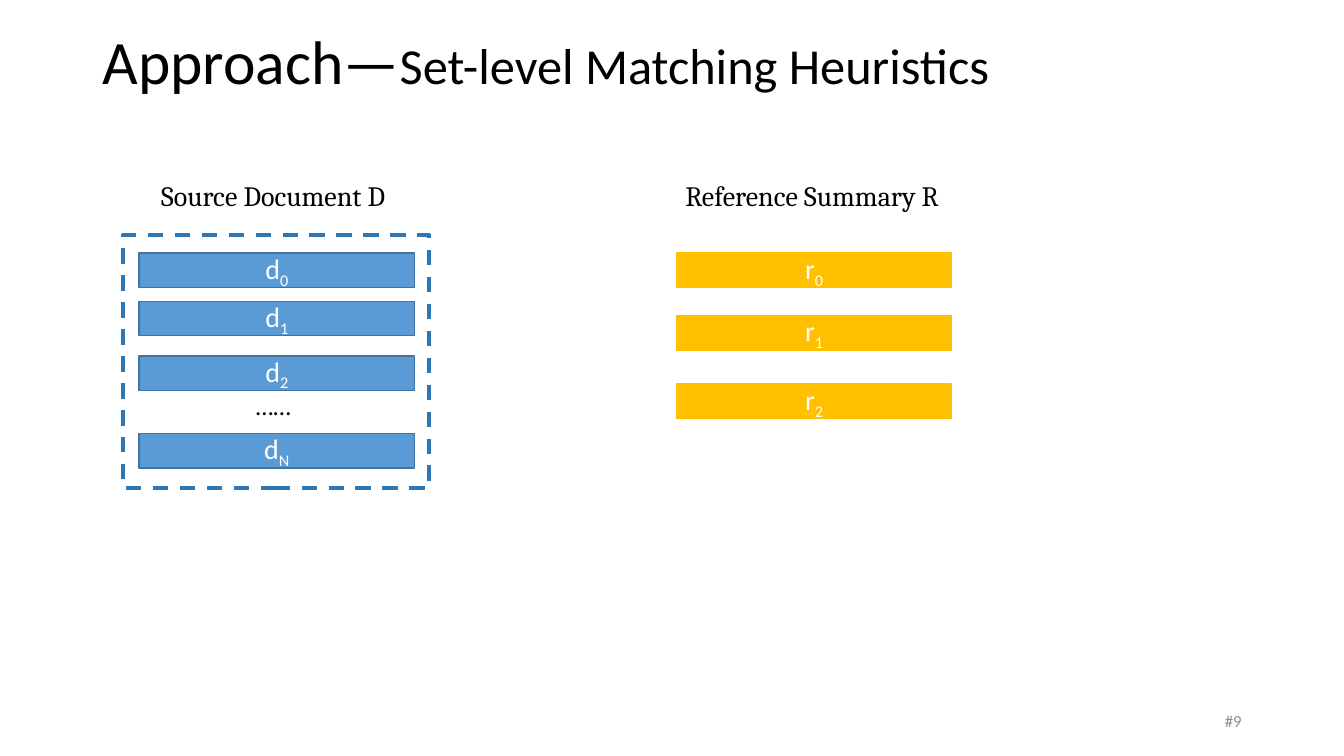
from pptx import Presentation
from pptx.dml.color import RGBColor
from pptx.enum.dml import MSO_LINE_DASH_STYLE as Dash
from pptx.enum.shapes import MSO_SHAPE as Shape
from pptx.enum.text import MSO_ANCHOR as Anchor, PP_ALIGN as Align
from pptx.util import Pt

TITLE = [("Approach—", 44), ("Set-level Matching Heuristics", 36)]
HEADINGS = [
    ("Source Document D", 108, 183.6),
    ("Reference Summary R", 482.4, 198),
]
SENTENCES = [
    {"letter": "r", "left": 483.2, "fill": "FFC000", "line": "FFC000",
     "bars": [("0", 180.7), ("1", 225.4), ("2", 274.4)]},
    {"letter": "d", "left": 99.4, "fill": "5B9BD5", "line": "43739E",
     "bars": [("0", 180.7), ("1", 215.3), ("2", 254.2), ("N", 309.6)]},
]
BAR_WIDTH, BAR_HEIGHT = 196.6, 24.6
BLACK, WHITE, GRAY, FRAME_BLUE = "000000", "FFFFFF", "8C8C8C", "2E75B6"


def color(value):
    return RGBColor.from_string(value)


def add_span(para, text, size, ink, font="Calibri"):
    span = para.add_run()
    span.text = text
    span.font.size = Pt(size)
    span.font.name = font
    span.font.color.rgb = color(ink)
    return span


def add_label(page, text, place, size, ink, font="Calibri", wrap=True,
              align=Align.LEFT, anchor=Anchor.TOP):
    box = page.shapes.add_textbox(*map(Pt, place))
    frame = box.text_frame
    frame.word_wrap = wrap
    frame.vertical_anchor = anchor
    para = frame.paragraphs[0]
    para.alignment = align
    add_span(para, text, size, ink, font)


def add_rectangle(page, place, line, width):
    box = page.shapes.add_shape(Shape.RECTANGLE, *map(Pt, place))
    box.shadow.inherit = False
    box.line.color.rgb = color(line)
    box.line.width = Pt(width)
    return box


def add_bar(page, group, index, top):
    place = (group["left"], top, BAR_WIDTH, BAR_HEIGHT)
    box = add_rectangle(page, place, group["line"], 1)
    box.fill.solid()
    box.fill.fore_color.rgb = color(group["fill"])
    box.text_frame.vertical_anchor = Anchor.MIDDLE
    para = box.text_frame.paragraphs[0]
    para.alignment = Align.CENTER
    add_span(para, group["letter"], 20, WHITE)
    subscript = add_span(para, index, 20, WHITE)
    subscript.font._element.set("baseline", "-25000")


def add_title(page):
    box = page.shapes.title
    box.left, box.top, box.width, box.height = map(Pt, (66, -6, 828, 104.4))
    box.text_frame.vertical_anchor = Anchor.MIDDLE
    para = box.text_frame.paragraphs[0]
    para.alignment = Align.LEFT
    para.line_spacing = 0.9
    for text, size in TITLE:
        add_span(para, text, size, BLACK)


def main():
    deck = Presentation()
    deck.slide_width, deck.slide_height = Pt(960), Pt(540)
    page = deck.slides.add_slide(deck.slide_layouts[5])
    add_title(page)
    for text, left, width in HEADINGS:
        add_label(page, text, (left, 123.8, width, 31.5), 20, BLACK, "Cambria")
    for group in SENTENCES:
        for index, top in group["bars"]:
            add_bar(page, group, index, top)
    add_label(page, "……", (175.7, 275, 43.9, 47.5), 18, BLACK, wrap=False)
    frame = add_rectangle(page, (87.8, 167.8, 218.9, 180.7), FRAME_BLUE, 2.75)
    frame.fill.background()
    frame.line.dash_style = Dash.DASH
    add_label(page, "#9", (678, 500.5, 216, 28.8), 12, GRAY,
              align=Align.RIGHT, anchor=Anchor.MIDDLE)
    deck.save("out.pptx")


if __name__ == "__main__":
    main()
